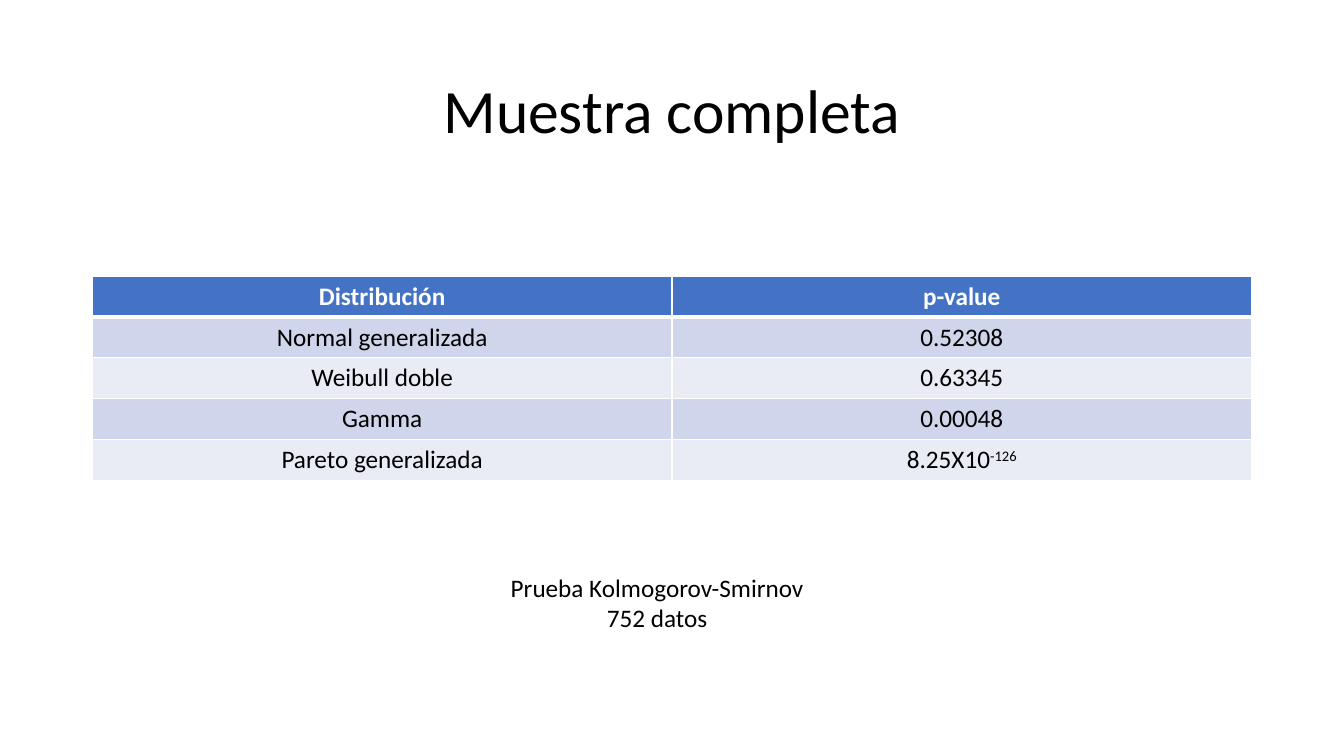
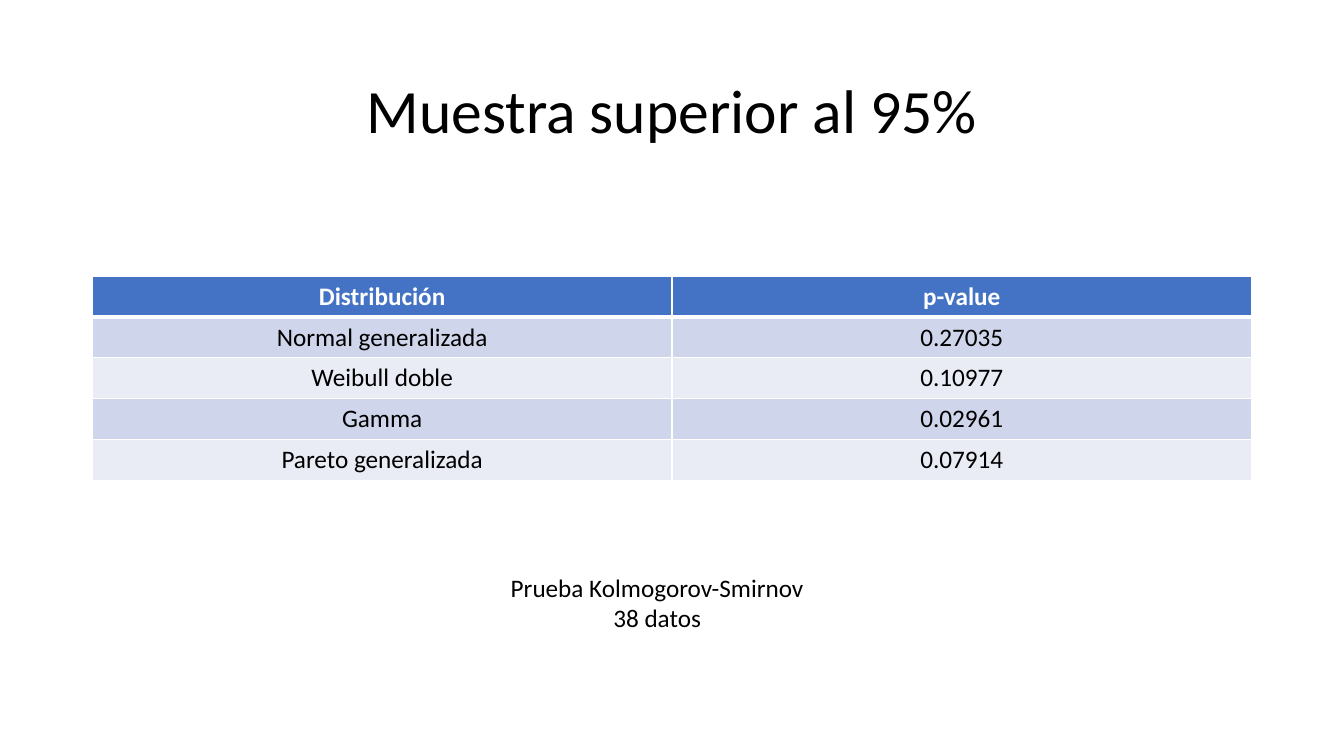
from dataclasses import dataclass

from lxml.etree import SubElement
from pptx import Presentation
from pptx.dml.color import RGBColor
from pptx.enum.text import MSO_ANCHOR, PP_ALIGN
from pptx.oxml.ns import qn
from pptx.util import Pt

HEADERS = ("Distribución", "p-value")
DISTRIBUTIONS = ("Normal generalizada", "Weibull doble", "Gamma", "Pareto generalizada")
TEST_NAME = "Prueba Kolmogorov-Smirnov"
SAMPLES = [
    {
        "title": "Muestra completa",
        "p_values": ("0.52308", "0.63345", "0.00048", "8.25X10"),
        "exponents": {"Pareto generalizada": "-126"},
        "count": "752 datos",
    },
    {
        "title": "Muestra superior al 95%",
        "p_values": ("0.27035", "0.10977", "0.02961", "0.07914"),
        "exponents": {},
        "count": "38 datos",
    },
]


@dataclass(frozen=True)
class Theme:
    font: str = "Calibri"
    title_size: int = 44
    body_size: int = 18
    text: str = "000000"
    light: str = "FFFFFF"
    header: str = "4472C4"
    bands: tuple = ("CFD5EA", "E9EBF5")
    rule: int = 1
    header_rule: int = 3


THEME = Theme()
SLIDE_SIZE = (960, 540)
MARGIN = 66
CONTENT_WIDTH = SLIDE_SIZE[0] - 2 * MARGIN
TITLE_BOX = (MARGIN, 28.75, CONTENT_WIDTH, 104.4)
TABLE_TOP = 197.2
ROW_HEIGHT = 29.2
NOTE_BOX = (227.5, 405.4, 483.8, 50.9)


def style_paragraph(paragraph, size, color, bold=False):
    paragraph.alignment = PP_ALIGN.CENTER
    for run in paragraph.runs:
        run.font.name = THEME.font
        run.font.size = Pt(size)
        run.font.bold = bold
        run.font.color.rgb = RGBColor.from_string(color)


def add_text(slide, box, text, size):
    shape = slide.shapes.add_textbox(*map(Pt, box))
    text_frame = shape.text_frame
    text_frame.word_wrap = True
    text_frame.text = text
    for paragraph in text_frame.paragraphs:
        style_paragraph(paragraph, size, THEME.text)
    return text_frame


def add_title(slide, title):
    text_frame = add_text(slide, TITLE_BOX, title, THEME.title_size)
    text_frame.vertical_anchor = MSO_ANCHOR.MIDDLE
    text_frame.paragraphs[0].line_spacing = 0.9


def set_borders(cell, row):
    properties = cell._tc.get_or_add_tcPr()
    widths = {
        "L": THEME.rule,
        "R": THEME.rule,
        "T": THEME.header_rule if row == 1 else THEME.rule,
        "B": THEME.header_rule if row == 0 else THEME.rule,
    }
    for side, width in widths.items():
        line = SubElement(properties, qn(f"a:ln{side}"), w=str(Pt(width)))
        fill = SubElement(line, qn("a:solidFill"))
        SubElement(fill, qn("a:srgbClr"), val=THEME.light)


def style_cell(cell, row):
    is_header = row == 0
    set_borders(cell, row)
    cell.fill.solid()
    color = THEME.header if is_header else THEME.bands[(row - 1) % 2]
    cell.fill.fore_color.rgb = RGBColor.from_string(color)
    text_color = THEME.light if is_header else THEME.text
    style_paragraph(cell.text_frame.paragraphs[0], THEME.body_size, text_color, is_header)


def add_results_table(slide, p_values, exponents):
    rows = [HEADERS, *zip(DISTRIBUTIONS, p_values)]
    table = slide.shapes.add_table(
        len(rows), len(HEADERS), Pt(MARGIN), Pt(TABLE_TOP),
        Pt(CONTENT_WIDTH), Pt(ROW_HEIGHT * len(rows)),
    ).table
    for row, values in enumerate(rows):
        table.rows[row].height = Pt(ROW_HEIGHT)
        for column, value in enumerate(values):
            cell = table.cell(row, column)
            cell.text_frame.text = value
            if column == 1 and values[0] in exponents:
                exponent = cell.text_frame.paragraphs[0].add_run()
                exponent.text = exponents[values[0]]
                exponent._r.get_or_add_rPr().set("baseline", "30000")
            style_cell(cell, row)


def main():
    presentation = Presentation()
    presentation.slide_width, presentation.slide_height = map(Pt, SLIDE_SIZE)
    for sample in SAMPLES:
        slide = presentation.slides.add_slide(presentation.slide_layouts[6])
        add_title(slide, sample["title"])
        add_results_table(slide, sample["p_values"], sample["exponents"])
        add_text(slide, NOTE_BOX, f"{TEST_NAME}\n{sample['count']}", THEME.body_size)
    presentation.save("out.pptx")


if __name__ == "__main__":
    main()
